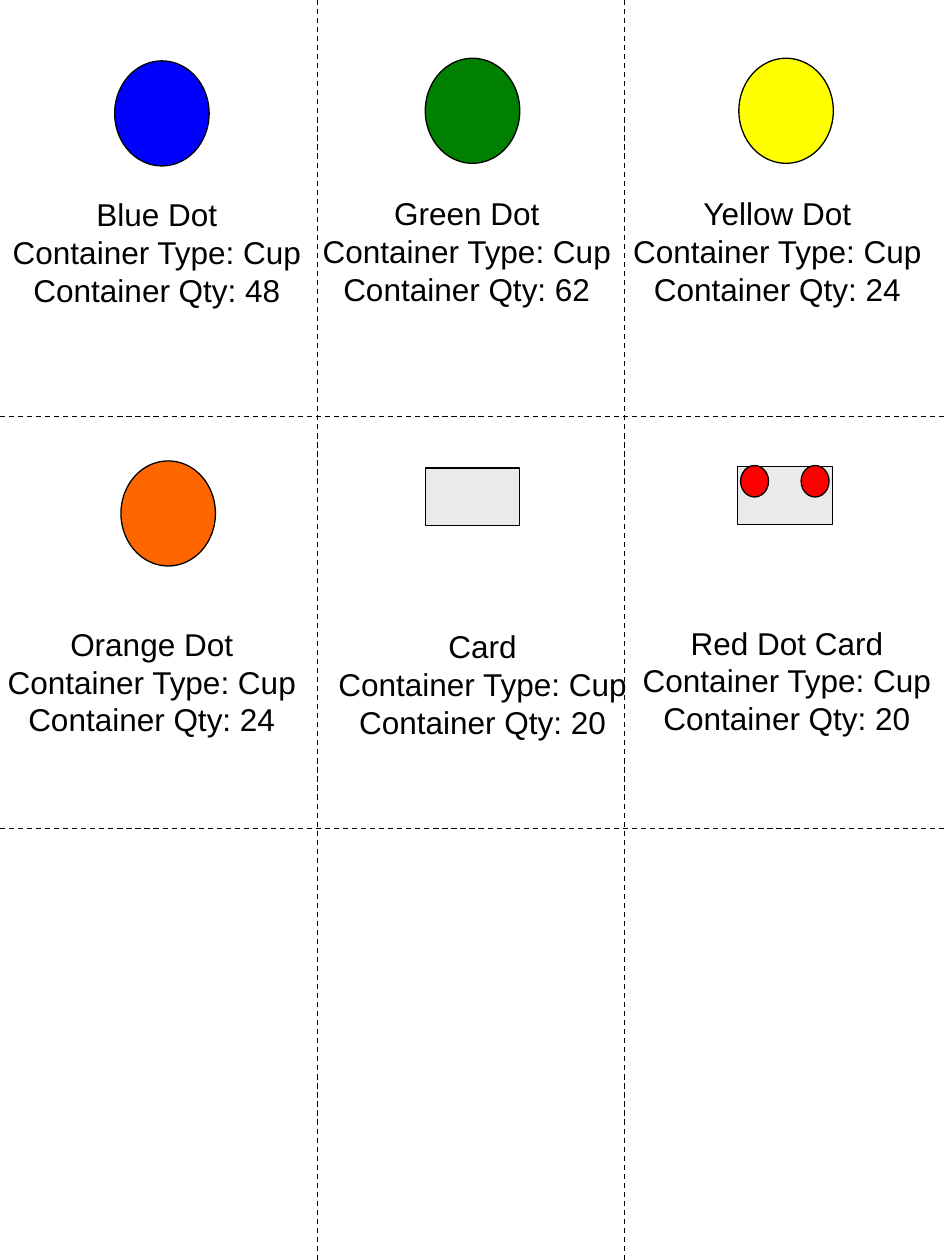
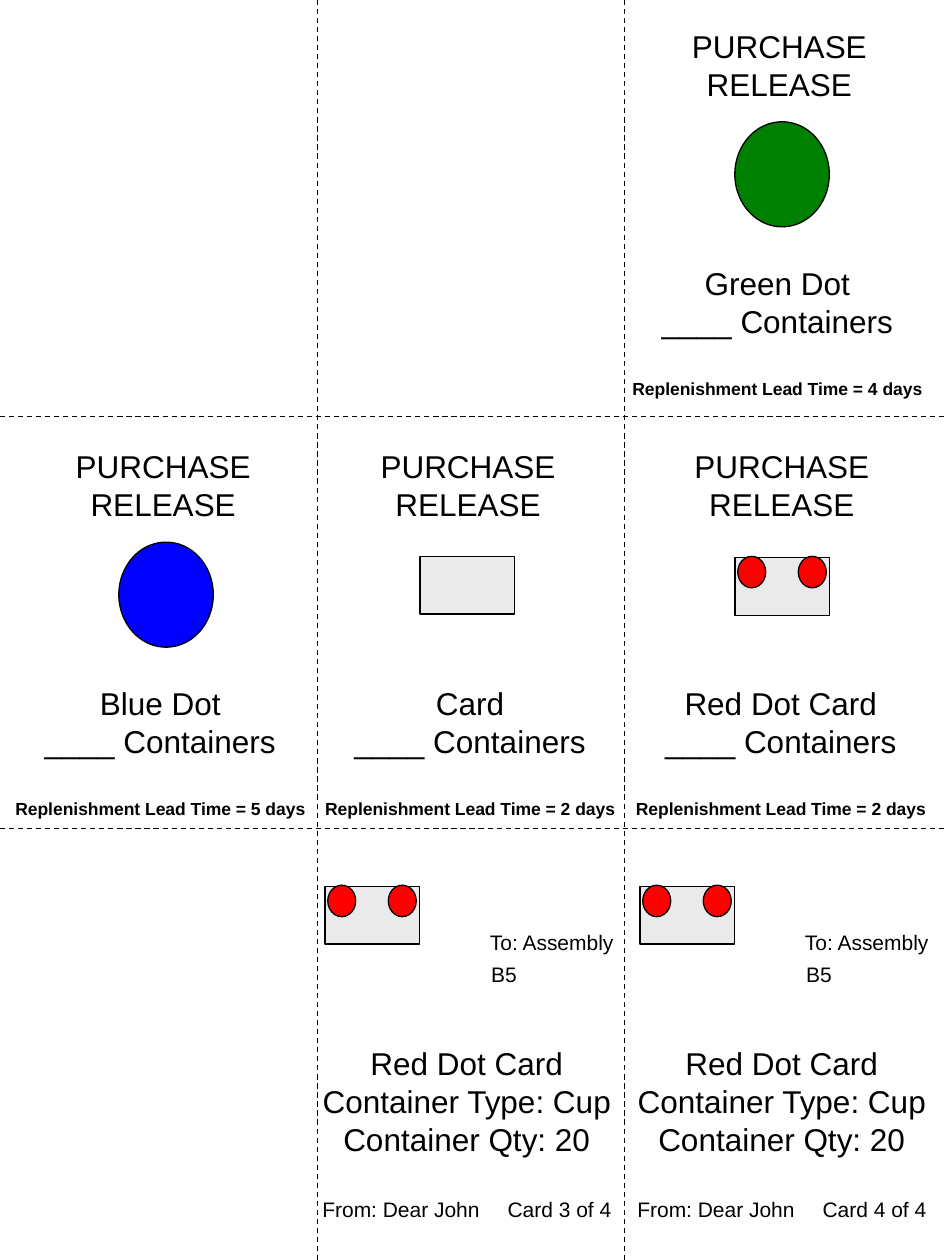
from lxml import etree
from pptx import Presentation, util as u
from pptx.dml.color import RGBColor
from pptx.enum import dml, shapes, text
from pptx.oxml.ns import qn

COLOURS = {"ink": "000000", "blue": "0000FF", "green": "008000", "yellow": "FFFF00",
           "orange": "FF6600", "red": "FF0000", "card": "EAEAEA"}
PAGE_WIDTH, PAGE_HEIGHT = 540, 720
COLUMN_CUTS, ROW_CUTS = (181.4, 356.9), (238, 473.5)
DOT_SIZE, CARD_SIZE, RED_DOT_SIZE = (54, 60), (54, 33), (16, 18)
LABEL_WIDTH, LABEL_HEIGHT, RELEASE_HEIGHT = 180, 72, 84.2
TITLE_SIZE = (114.5, 50.4)
TICKET_STEP = 180
FRAME = {"word_wrap": False, "auto_size": text.MSO_AUTO_SIZE.SHAPE_TO_FIT_TEXT,
         "margin_left": u.Pt(7.2), "margin_right": u.Pt(7.2),
         "margin_top": u.Pt(3.6), "margin_bottom": u.Pt(3.6)}
BODY = {"name": "Arial", "size": u.Pt(18)}
NOTE = {"name": "Arial", "size": u.Pt(12)}
LEAD_TIME = {"name": "Arial", "size": u.Pt(10), "bold": True}
CENTRED = {"alignment": text.PP_ALIGN.CENTER}
FLUSH = {"alignment": text.PP_ALIGN.LEFT}


def colour(name):
    """Return the named colour."""
    return RGBColor.from_string(COLOURS[name])


def apply(target, values):
    """Set every format value on the target."""
    for attribute, value in values.items():
        setattr(target, attribute, value)


def ink_line(line):
    """Give a line the shared ink colour and width."""
    line.fill.solid()
    line.fill.fore_color.rgb = colour("ink")
    line.width = u.Pt(0.75)


def add_cut(slide, *ends):
    """Draw one dashed cutting line."""
    cut = slide.shapes.add_connector(shapes.MSO_CONNECTOR.STRAIGHT, *map(u.Pt, ends))
    ink_line(cut.line)
    cut.line.dash_style = dml.MSO_LINE.DASH
    etree.SubElement(cut.element.spPr, qn("a:effectLst"))


def add_page(deck):
    """Add a blank page with the cutting grid."""
    slide = deck.slides.add_slide(deck.slide_layouts[6])
    for x in COLUMN_CUTS:
        add_cut(slide, x, 0, x, PAGE_HEIGHT)
    for y in ROW_CUTS:
        add_cut(slide, 0, y, PAGE_WIDTH, y)
    return slide


def add_figure(owner, kind, fill, left, top, size):
    """Draw an outlined, filled figure."""
    figure = owner.shapes.add_shape(kind, *map(u.Pt, (left, top, *size)))
    figure.shadow.inherit = False
    figure.fill.solid()
    figure.fill.fore_color.rgb = colour(fill)
    ink_line(figure.line)


def add_dot(slide, fill, left, top):
    """Draw a large dot."""
    add_figure(slide, shapes.MSO_SHAPE.OVAL, fill, left, top, DOT_SIZE)


def add_card(owner, left, top):
    """Draw a plain card."""
    add_figure(owner, shapes.MSO_SHAPE.RECTANGLE, "card", left, top, CARD_SIZE)


def add_red_dot_card(slide, left, top):
    """Draw a card with two red dots as a group."""
    group = slide.shapes.add_group_shape()
    add_card(group, left, top)
    for inset in (1.6, 36.2):
        add_figure(group, shapes.MSO_SHAPE.OVAL, "red", left + inset, top - 0.7, RED_DOT_SIZE)


def add_text(slide, left, top, size, lines, font=BODY, layout=CENTRED):
    """Add a text box with one paragraph per line and return its paragraphs."""
    frame = slide.shapes.add_textbox(*map(u.Pt, (left, top, *size))).text_frame
    apply(frame, FRAME)
    for index, line in enumerate(lines):
        paragraph = frame.add_paragraph() if index else frame.paragraphs[0]
        paragraph.text = line
        apply(paragraph, layout)
        apply(paragraph.font, font)
        paragraph.font.color.rgb = colour("ink")
    return frame.paragraphs


def add_container_label(slide, part, quantity, left, top):
    """Add the part name with its container type and quantity."""
    add_text(slide, left, top, (LABEL_WIDTH, LABEL_HEIGHT),
             (part, "Container Type: Cup", f"Container Qty: {quantity}"))


def add_release(slide, part, days, left, top, title_left, title_top):
    """Add the wording of a purchase release."""
    lead_time = add_text(slide, left, top, (LABEL_WIDTH, RELEASE_HEIGHT),
                         (part, "____ Containers",
                          f"Replenishment Lead Time = {days} days"))[-1]
    lead_time.space_before = u.Pt(21.7)
    apply(lead_time.font, LEAD_TIME)
    add_text(slide, title_left, title_top, TITLE_SIZE, ("PURCHASE\nRELEASE",))


def add_ticket(slide, number, shift):
    """Add an assembly ticket for a red dot card."""
    add_red_dot_card(slide, 185.7 + shift, 506.5)
    add_container_label(slide, "Red Dot Card", 20, 176.7 + shift, 593.3)
    for note, left, top, width in (("To: Assembly", 272.9, 527.8, 90),
                                   ("B5", 273.6, 545.8, 34),
                                   ("From: Dear John", 177.1, 680.4, 110),
                                   (f"Card {number} of 4", 283, 680.4, 80)):
        add_text(slide, left + shift, top, (width, 21.6), (note,), NOTE, FLUSH)


def add_containers(deck):
    """Build the page of container cards."""
    slide = add_page(deck)
    for fill, left, top in (("blue", 65.5, 34.8), ("green", 243, 33.3),
                            ("yellow", 422.2, 33.3), ("orange", 69.1, 263.4)):
        add_dot(slide, fill, left, top)
    add_card(slide, 243, 267.5)
    add_red_dot_card(slide, 421.6, 266.7)
    for part, quantity, left, top in (("Blue Dot", 48, -0.3, 108),
                                      ("Green Dot", 62, 176.7, 107.3),
                                      ("Yellow Dot", 24, 354.2, 107.3),
                                      ("Orange Dot", 24, -3.3, 353.5),
                                      ("Card", 20, 185.8, 355),
                                      ("Red Dot Card", 20, 359.7, 352.8)):
        add_container_label(slide, part, quantity, left, top)


def add_releases(deck):
    """Build the page of purchase releases and assembly tickets."""
    slide = add_page(deck)
    add_dot(slide, "green", 419.9, 69.6)
    add_dot(slide, "blue", 67.9, 309.8)
    add_card(slide, 240, 317.9)
    add_red_dot_card(slide, 420, 318.6)
    for release in (("Green Dot", 4, 354.2, 147.6, 388.1, 12.2),
                    ("Blue Dot", 5, 1.6, 387.4, 36, 252),
                    ("Card", 2, 178.6, 387.4, 210.2, 252),
                    ("Red Dot Card", 2, 356.2, 387.4, 389.5, 252)):
        add_release(slide, *release)
    for index, number in enumerate((3, 4)):
        add_ticket(slide, number, index * TICKET_STEP)


def main():
    """Build and save the deck."""
    deck = Presentation()
    apply(deck, {"slide_width": u.Pt(PAGE_WIDTH), "slide_height": u.Pt(PAGE_HEIGHT)})
    add_containers(deck)
    add_releases(deck)
    deck.save("out.pptx")


if __name__ == "__main__":
    main()
